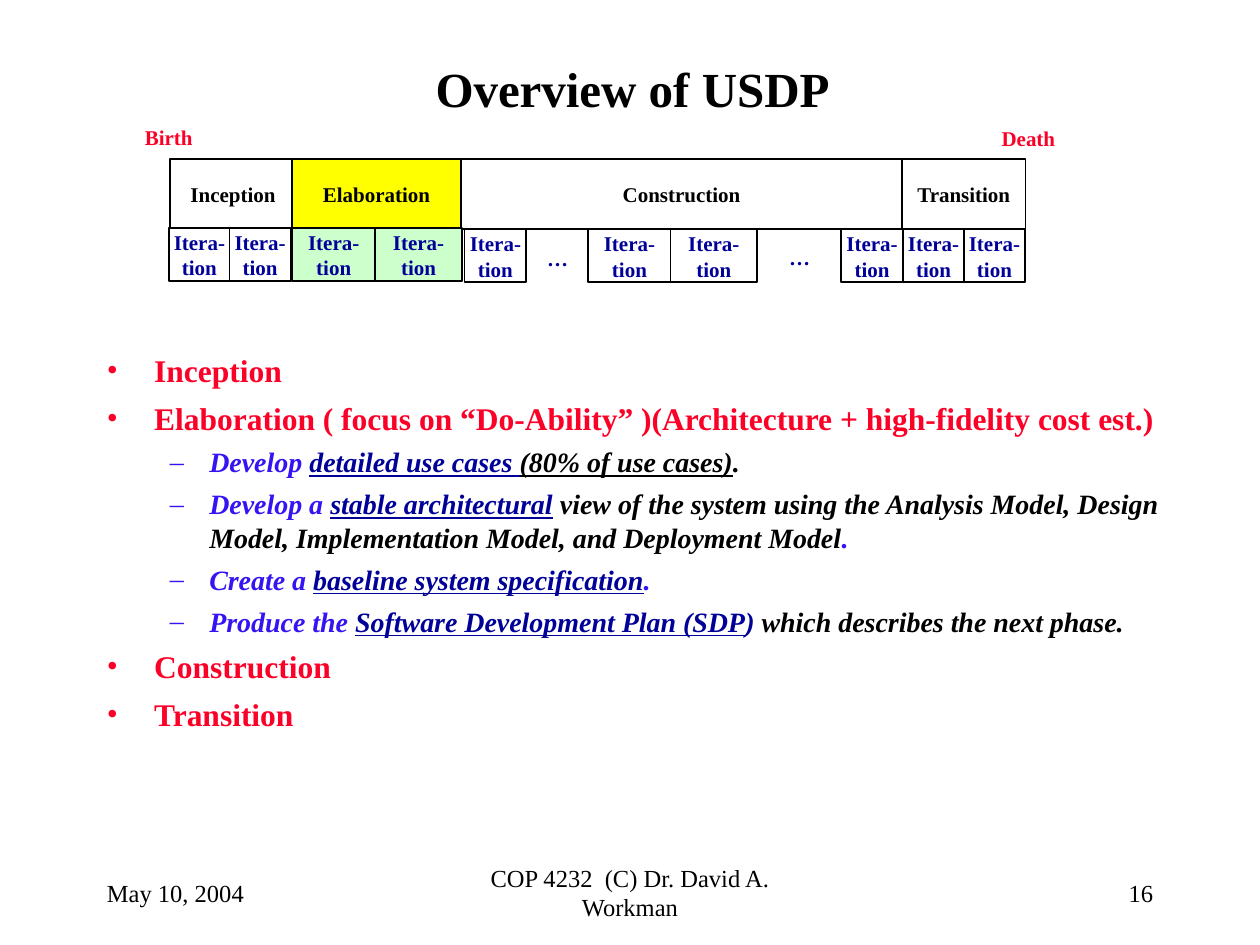
from pptx import Presentation
from pptx.dml.color import RGBColor
from pptx.enum.shapes import MSO_SHAPE
from pptx.enum.text import MSO_ANCHOR, PP_ALIGN
from pptx.oxml.ns import qn
from pptx.util import Pt
from lxml import etree

RECT = MSO_SHAPE.RECTANGLE
TOP, MIDDLE = MSO_ANCHOR.TOP, MSO_ANCHOR.MIDDLE
LEFT, CENTER, RIGHT = PP_ALIGN.LEFT, PP_ALIGN.CENTER, PP_ALIGN.RIGHT

BLACK, WHITE, RED = "000000", "FFFFFF", "FC0128"
NAVY, BLUE, YELLOW, GREEN = "000099", "3414F2", "FFFF00", "CCFFCC"

LEVELS = [
    dict(bullet="•", color=RED, margin=27, indent=-27, before=5.4, size=18, italic=False),
    dict(bullet="–", color=BLUE, margin=58.5, indent=-22.5, before=4.8, size=16, italic=True),
]

OUTLINE = [
    (0, [("Inception", RED, False)]),
    (0, [("Elaboration ( focus on “Do-Ability” )(Architecture + high-fidelity cost est.)", RED, False)]),
    (1, [("Develop ", BLUE, False), ("detailed use cases ", NAVY, True),
         ("(80% of use cases)", BLACK, True), (".", BLACK, False)]),
    (1, [("Develop a ", BLUE, False), ("stable architectural", NAVY, True), (" ", BLUE, False),
         ("view of the system using the Analysis Model, Design Model, "
          "Implementation Model, and Deployment Model", BLACK, False), (".", BLUE, False)]),
    (1, [("Create a ", BLUE, False), ("baseline system specification", NAVY, True),
         (".", BLUE, False)]),
    (1, [("Produce the ", BLUE, False), ("Software Development Plan (SDP", NAVY, True),
         (") ", NAVY, False), ("which describes the next phase.", BLACK, False)]),
    (0, [("Construction", RED, False)]),
    (0, [("Transition", RED, False)]),
]

PHASES = [
    ("Inception", 97.2, 72, WHITE),
    ("Elaboration", 167, 96.5, YELLOW),
    ("Construction", 263.5, 252, WHITE),
    ("Transition", 515.5, 70.5, WHITE),
]

ITERATIONS = [
    (130.3, WHITE, [(96.5, 35), (131.2, 35)]),
    (130.3, GREEN, [(167, 47.5), (214.5, 49.5)]),
    (131.2, WHITE, [(265.5, 35.3), (480.7, 35.3), (336, 47.5), (383.2, 49.5),
                    (516, 35), (550.8, 35)]),
]


def rgb(value):
    return RGBColor.from_string(value)


class Deck:
    """Holds the text style and the current slide, and adds elements in points."""

    font = "Times New Roman"

    def __init__(self, width, height):
        self.prs = Presentation()
        self.prs.slide_width, self.prs.slide_height = Pt(width), Pt(height)
        self.s = self.prs.slides.add_slide(self.prs.slide_layouts[6])

    def style(self, font, color, **values):
        for name, value in dict(name=self.font, **values).items():
            setattr(font, name, value)
        font.color.rgb = rgb(color)

    def add_lines(self, tf, lines, align, color, size, bold):
        for i, line in enumerate(lines):
            p = tf.add_paragraph() if i else tf.paragraphs[0]
            p.alignment = align
            r = p.add_run()
            r.text = line
            self.style(r.font, color, size=Pt(size), bold=bold)

    def frame(self, box, anchor, wrap):
        tf = box.text_frame
        tf.vertical_anchor, tf.word_wrap = anchor, wrap
        return tf

    def label(self, text, x, y, w, h, align=CENTER, color=BLACK, size=12,
              bold=True, anchor=MIDDLE, wrap=True):
        box = self.s.shapes.add_textbox(Pt(x), Pt(y), Pt(w), Pt(h))
        self.add_lines(self.frame(box, anchor, wrap), [text], align, color, size, bold)

    def block(self, lines, x, y, w, h, fill=WHITE, color=NAVY, outlined=True):
        sp = self.s.shapes.add_shape(RECT, Pt(x), Pt(y), Pt(w), Pt(h))
        sp.shadow.inherit = False
        sp.fill.solid()
        sp.fill.fore_color.rgb = rgb(fill)
        if outlined:
            sp.line.color.rgb = rgb(BLACK)
            sp.line.width = Pt(1)
        else:
            sp.line.fill.background()
        self.add_lines(self.frame(sp, MIDDLE, False), lines, CENTER, color, 12, True)

    def bullet(self, p, level):
        pPr = p._p.get_or_add_pPr()
        pPr.set("marL", str(Pt(level["margin"])))
        pPr.set("indent", str(Pt(level["indent"])))
        color = etree.SubElement(pPr, qn("a:buClr"))
        etree.SubElement(color, qn("a:srgbClr")).set("val", level["color"])
        etree.SubElement(pPr, qn("a:buFont")).set("typeface", self.font)
        etree.SubElement(pPr, qn("a:buChar")).set("char", level["bullet"])

    def outline(self, items, x, y, w, h):
        box = self.s.shapes.add_textbox(Pt(x), Pt(y), Pt(w), Pt(h))
        tf = self.frame(box, TOP, True)
        for i, (depth, runs) in enumerate(items):
            level = LEVELS[depth]
            p = tf.add_paragraph() if i else tf.paragraphs[0]
            self.bullet(p, level)
            p.level, p.alignment = depth, LEFT
            p.space_before = Pt(level["before"] if i else 0)
            for text, color, underline in runs:
                r = p.add_run()
                r.text = text
                self.style(r.font, color, size=Pt(level["size"]), bold=True,
                           italic=level["italic"], underline=underline)


def main():
    deck = Deck(720, 540)
    deck.label("Overview of USDP", 55.5, 29, 612, 42, size=28)
    deck.outline(OUTLINE, 54, 197.3, 632.2, 290)

    for name, x, w, fill in PHASES:
        deck.block([name], x, 90.7, w, 40.3, fill, BLACK)
    for name, x, y, w in [("Birth", 75.5, 67.7, 42), ("Death", 565.2, 68.4, 45)]:
        deck.label(name, x, y, w, 21.6, color=RED, anchor=TOP, wrap=False)

    for y, fill, spans in ITERATIONS:
        for x, w in spans:
            deck.block(["Itera-", "tion"], x, y, w, 30.2, fill)
    for x, y, w, h in [(307.5, 134, 22.3, 27.3), (436.5, 131.8, 41, 30.2)]:
        deck.block(["…"], x, y, w, h, outlined=False)

    for text, x, w, align in [("COP 4232  (C) Dr. David A. Workman", 246, 228, CENTER),
                              ("16", 516, 150, RIGHT),
                              ("May 10, 2004", 54, 150, LEFT)]:
        deck.label(text, x, 492, w, 36, align, size=14, bold=False)

    deck.prs.save("out.pptx")


if __name__ == "__main__":
    main()
